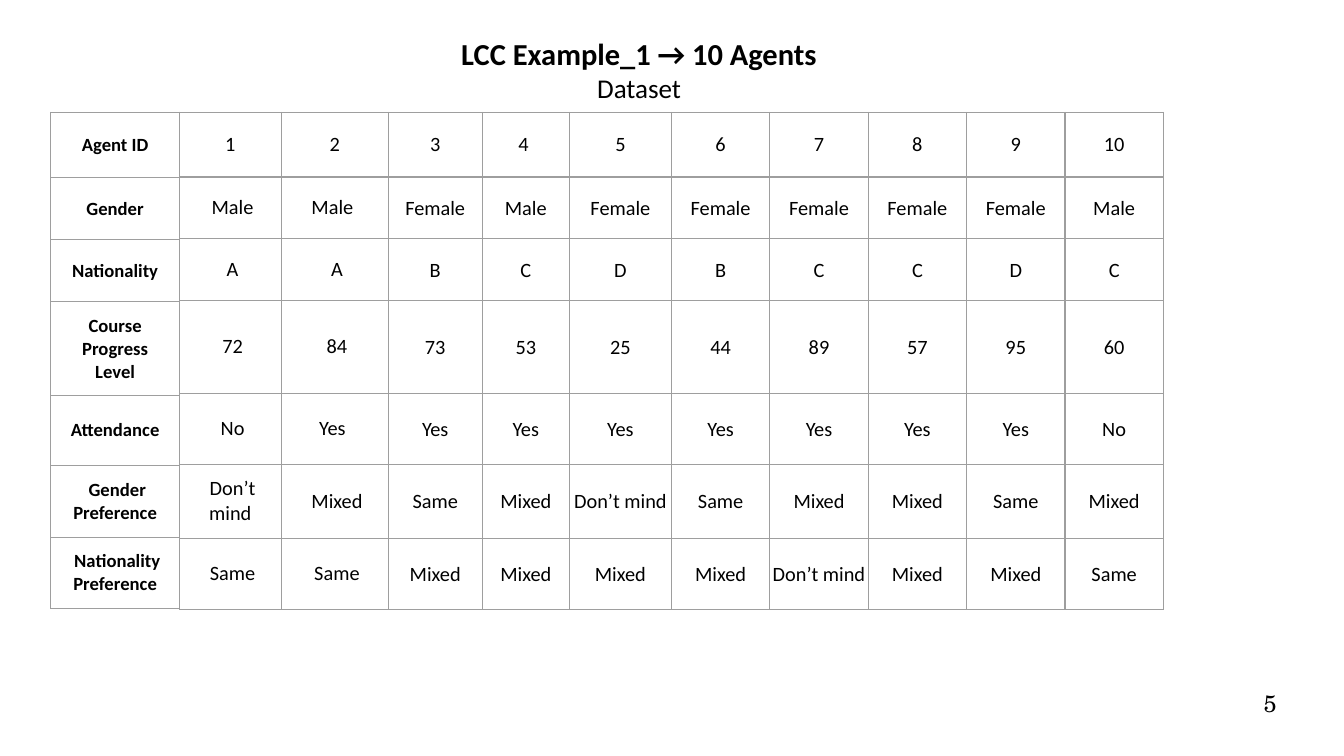
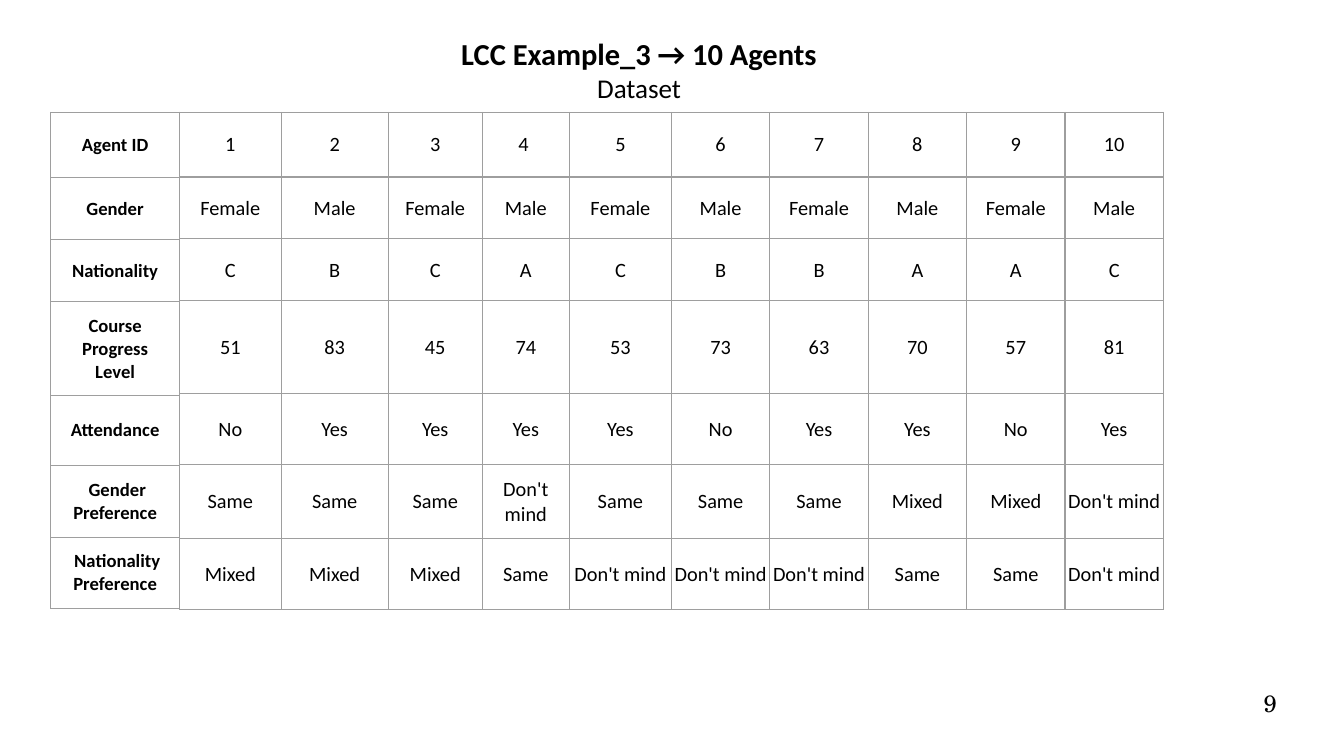
"""Build two dataset slides, each a grid of ten agents with a column of row labels."""
from dataclasses import dataclass

from lxml import etree
from pptx import Presentation
from pptx.dml.color import RGBColor
from pptx.enum.text import MSO_ANCHOR, MSO_AUTO_SIZE, PP_ALIGN
from pptx.oxml.ns import qn
from pptx.util import Pt

BLACK = RGBColor(0x00, 0x00, 0x00)
GRID = RGBColor(0x9E, 0x9E, 0x9E)
CENTER, RIGHT = PP_ALIGN.CENTER, PP_ALIGN.RIGHT
MIDDLE = MSO_ANCHOR.MIDDLE
GROW = MSO_AUTO_SIZE.SHAPE_TO_FIT_TEXT

TITLE = {"name": "Calibri", "size": Pt(18), "bold": True}
SUBTITLE = {"name": "Calibri", "size": Pt(16), "bold": False}
LABEL = {"name": "Calibri", "size": Pt(11), "bold": True}
VALUE = {"name": "Calibri", "size": Pt(12), "bold": False}
NUMBER = {"name": "TeX Gyre Schola", "size": Pt(14), "bold": False}

SIDES = ("left", "right", "top", "bottom")
LOOSE = (7.2, 7.2, 7.2, 7.2)
TIGHT = (0.72, 0.72, 0.72, 0)

TABLE_TOP = 66.3
LABEL_LEFT, LABEL_WIDTH = 30, 76
LABEL_HEIGHTS = (38.6, 36.7, 36.7, 55.4, 41.1, 42.6, 41.8)
VALUE_WIDTHS = (60, 63.25, 55.5, 51.5, 60.25) + (58.1,) * 5
VALUE_HEIGHTS = (38.2, 36.5, 36.5, 54.9, 41.9, 43.7, 41.9)

LABELS = (
    "Agent ID", "Gender", "Nationality", "Course Progress Level",
    "Attendance", " Gender Preference", " Nationality Preference",
)
AGENT_IDS = "1|2|3|4 |5|6|7|8|9|10"


@dataclass(frozen=True)
class Dataset:
    """Content of one slide; the first loose_columns columns have wide margins."""

    title: str
    number: str
    loose_columns: int
    rows: tuple[str, ...]


DATASETS = (
    Dataset("LCC Example_1 → 10 Agents", "5", 2, (
        " Male|Male |Female|Male|Female|Female|Female|Female|Female|Male",
        " A| A|B|C|D|B|C|C|D|C",
        " 72| 84|73|53|25|44|89|57|95|60",
        " No|Yes |Yes|Yes|Yes|Yes|Yes|Yes|Yes|No",
        " Don’t mind| Mixed|Same|Mixed|Don’t mind|Same|Mixed|Mixed|Same|Mixed",
        " Same| Same|Mixed|Mixed|Mixed|Mixed|Don’t mind|Mixed|Mixed|Same",
    )),
    Dataset("LCC Example_3 → 10 Agents", "9", 0, (
        "Female|Male|Female|Male|Female|Male|Female|Male|Female|Male",
        "C|B|C|A|C|B|B|A|A|C",
        "51|83|45|74|53|73|63|70|57|81",
        "No|Yes|Yes|Yes|Yes|No|Yes|Yes|No|Yes",
        "Same|Same|Same|Don't mind|Same|Same|Same|Mixed|Mixed|Don't mind",
        "Mixed|Mixed|Mixed|Same|Don't mind|Don't mind|Don't mind|Same|Same|Don't mind",
    )),
)


def write(p, text: str, style: dict, align=CENTER) -> None:
    """Fill a paragraph with one styled run."""
    p.alignment = align
    r = p.add_run()
    r.text = text
    for name, value in style.items():
        setattr(r.font, name, value)
    r.font.color.rgb = BLACK


def set_margins(target, margins: tuple) -> None:
    """Set the four inner margins of a cell or text frame."""
    for side, margin in zip(SIDES, margins):
        setattr(target, f"margin_{side}", Pt(margin))


def add_text(s, box: tuple, margins: tuple, lines: list, align=CENTER):
    """Add a wrapped text box with one paragraph per styled line."""
    tf = s.shapes.add_textbox(*map(Pt, box)).text_frame
    tf.word_wrap = True
    set_margins(tf, margins)
    for i, (text, style) in enumerate(lines):
        p = tf.add_paragraph() if i else tf.paragraphs[0]
        write(p, text, style, align)
    return tf


def add_borders(cell) -> None:
    """Draw a thin grey line on every side of a cell."""
    props = cell._tc.get_or_add_tcPr()
    for side in "LRTB":
        line = etree.SubElement(props, qn(f"a:ln{side}"), w=str(Pt(0.75)))
        fill = etree.SubElement(line, qn("a:solidFill"))
        etree.SubElement(fill, qn("a:srgbClr"), val=str(GRID))


def add_grid(s, left: float, widths: tuple, heights: tuple, rows: list,
             style: dict, loose_columns: int) -> None:
    """Add an unfilled bordered table whose first row has wide margins."""
    table = s.shapes.add_table(
        len(heights), len(widths), Pt(left), Pt(TABLE_TOP),
        Pt(sum(widths)), Pt(sum(heights))).table
    table.first_row = table.horz_banding = False
    for column, width in zip(table.columns, widths):
        column.width = Pt(width)
    for i, (height, texts) in enumerate(zip(heights, rows)):
        table.rows[i].height = Pt(height)
        for j, text in enumerate(texts):
            cell = table.cell(i, j)
            cell.vertical_anchor = MIDDLE
            set_margins(cell, LOOSE if i == 0 or j < loose_columns else TIGHT)
            add_borders(cell)
            cell.fill.background()
            write(cell.text_frame.paragraphs[0], text, style)


def add_dataset(prs, data: Dataset) -> None:
    """Add one slide with its number, heading and tables."""
    s = prs.slides.add_slide(prs.slide_layouts[6])
    add_text(s, (568.8, 406.8, 185, 31), (0,) * 4, [(data.number, NUMBER)], RIGHT)
    tf = add_text(s, (20.2, 17.3, 714.2, 49), (7.2, 7.2, 3.6, 3.6),
                  [(data.title, TITLE), ("Dataset", SUBTITLE)])
    tf.auto_size = GROW
    values = [row.split("|") for row in (AGENT_IDS, *data.rows)]
    add_grid(s, LABEL_LEFT + LABEL_WIDTH, VALUE_WIDTHS, VALUE_HEIGHTS, values,
             VALUE, data.loose_columns)
    add_grid(s, LABEL_LEFT, (LABEL_WIDTH,), LABEL_HEIGHTS,
             [[label] for label in LABELS], LABEL, 1)


def main() -> None:
    """Build and save the presentation."""
    prs = Presentation()
    prs.slide_width, prs.slide_height = Pt(793.44), Pt(446.4)
    for data in DATASETS:
        add_dataset(prs, data)
    prs.save("out.pptx")


if __name__ == "__main__":
    main()
